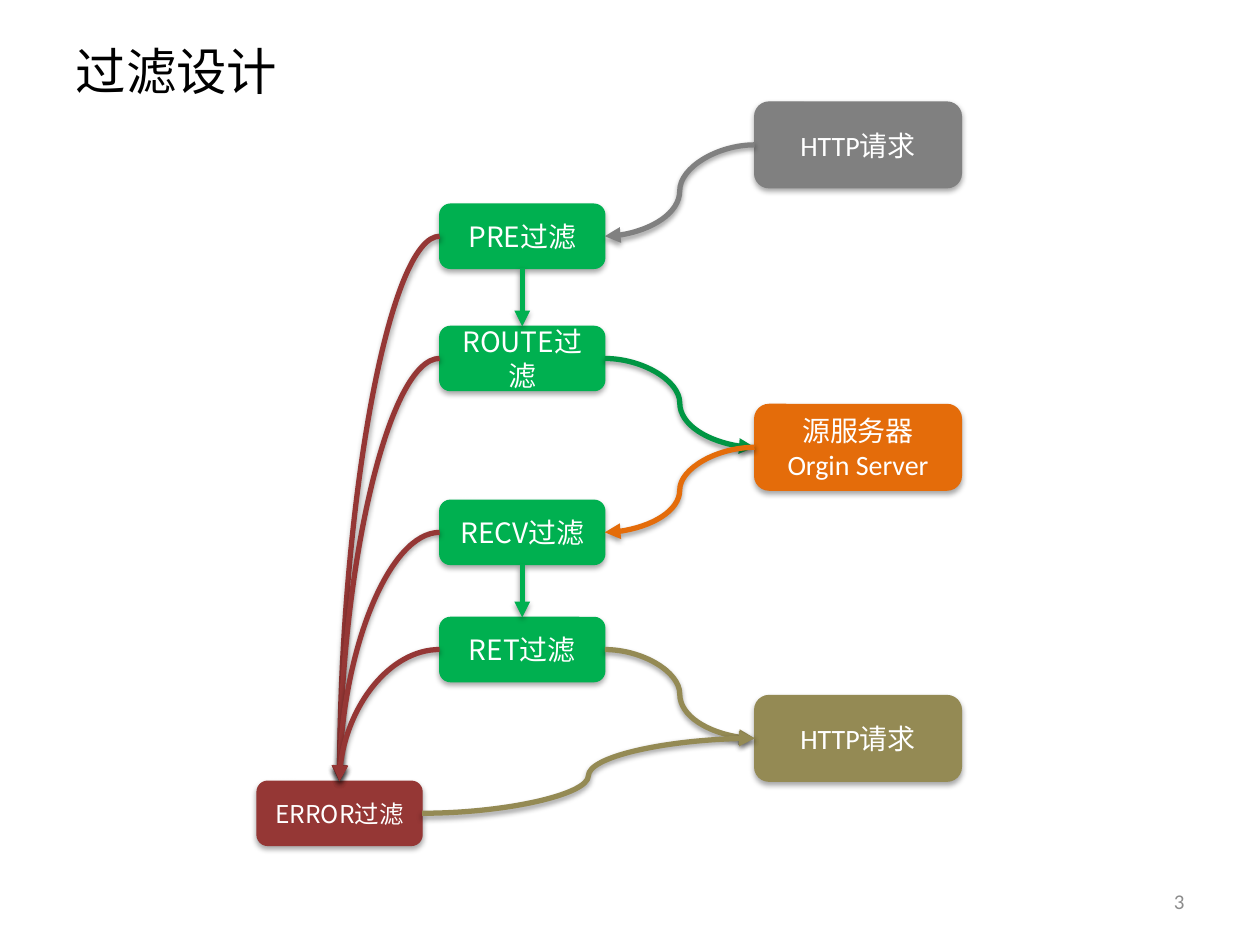
"""Build the filter design flow slide."""
from lxml.etree import SubElement
from pptx import Presentation
from pptx.dml.color import RGBColor
from pptx.enum.shapes import MSO_CONNECTOR, MSO_SHAPE
from pptx.enum.text import MSO_ANCHOR, PP_ALIGN
from pptx.oxml import parse_xml
from pptx.oxml.ns import nsdecls, qn
from pptx.util import Inches, Pt

BLACK = RGBColor(0x00, 0x00, 0x00)
WHITE = RGBColor(0xFF, 0xFF, 0xFF)
PALE_GRAY = RGBColor(0x8C, 0x8C, 0x8C)
GRAY = RGBColor(0x80, 0x80, 0x80)
GREEN = RGBColor(0x00, 0xB0, 0x50)
DARK_GREEN = RGBColor(0x00, 0x96, 0x43)
ORANGE = RGBColor(0xE4, 0x6C, 0x0A)
OLIVE = RGBColor(0x94, 0x8A, 0x54)
RED = RGBColor(0x95, 0x37, 0x35)
CJK, LATIN = "Noto Sans CJK SC", "Calibri"

TITLE = "过滤设计"
PAGE = "3"
FILTER_SIZE, ENDPOINT_SIZE = (1.31, 0.51), (1.64, 0.68)
FILTER_LEFT, ERROR_LEFT, ENDPOINT_LEFT = 3.49, 2.04, 5.99

NODES = {
    "pre": ("PRE过滤", FILTER_LEFT, 1.62, FILTER_SIZE, GREEN, CJK, 16),
    "route": ("ROUTE过滤", FILTER_LEFT, 2.59, FILTER_SIZE, GREEN, CJK, 16),
    "recv": ("RECV过滤", FILTER_LEFT, 3.97, FILTER_SIZE, GREEN, CJK, 16),
    "ret": ("RET过滤", FILTER_LEFT, 4.9, FILTER_SIZE, GREEN, CJK, 16),
    "error": ("ERROR过滤", ERROR_LEFT, 6.2, FILTER_SIZE, RED, CJK, 14),
    "origin": ("源服务器\nOrgin Server", ENDPOINT_LEFT, 3.21, ENDPOINT_SIZE, ORANGE, LATIN, 16),
    "request": ("HTTP请求", ENDPOINT_LEFT, 0.81, ENDPOINT_SIZE, GRAY, LATIN, 16),
    "response": ("HTTP请求", ENDPOINT_LEFT, 5.52, ENDPOINT_SIZE, OLIVE, LATIN, 16),
}

TOP, LEFT, BOTTOM, RIGHT = range(4)
FLOWS = [
    ("pre", BOTTOM, "route", TOP, GREEN),
    ("recv", BOTTOM, "ret", TOP, GREEN),
    ("request", LEFT, "pre", RIGHT, GRAY),
    ("route", RIGHT, "origin", LEFT, DARK_GREEN),
    ("origin", LEFT, "recv", RIGHT, ORANGE),
    ("ret", RIGHT, "response", LEFT, OLIVE),
    *((name, LEFT, "error", TOP, RED) for name in ("pre", "route", "recv", "ret")),
    ("error", RIGHT, "response", LEFT, OLIVE),
]


def write(frame, text, font, size, color, align):
    frame.text = text
    for name, value in {"word_wrap": True, "vertical_anchor": MSO_ANCHOR.MIDDLE}.items():
        setattr(frame, name, value)
    for paragraph in frame.paragraphs:
        paragraph.alignment = align
        for run in paragraph.runs:
            for name, value in {"name": font, "size": Pt(size)}.items():
                setattr(run.font, name, value)
            run.font.color.rgb = color
            SubElement(run.font._element, qn("a:ea"), typeface=CJK)


def add_shadow(part, distance, alpha):
    properties = part._element.spPr
    for old in properties.findall(qn("a:effectLst")):
        properties.remove(old)
    properties.append(parse_xml(
        f'<a:effectLst {nsdecls("a")}><a:outerShdw blurRad="40000" dist="{distance}" '
        f'dir="5400000" rotWithShape="0"><a:srgbClr val="000000"><a:alpha val="{alpha}"/>'
        '</a:srgbClr></a:outerShdw></a:effectLst>'))


def add_node(slide, text, left, top, size, color, font, points):
    node = slide.shapes.add_shape(
        MSO_SHAPE.ROUNDED_RECTANGLE, *map(Inches, (left, top, *size)))
    node.fill.solid()
    node.fill.fore_color.rgb = color
    node.line.color.rgb = color
    node.line.width = Pt(0.75)
    add_shadow(node, 23000, 35000)
    write(node.text_frame, text, font, points, WHITE, PP_ALIGN.CENTER)
    return node


def add_flow(slide, source, source_side, target, target_side, color):
    straight = source_side == BOTTOM
    kind = MSO_CONNECTOR.STRAIGHT if straight else MSO_CONNECTOR.CURVE
    flow = slide.shapes.add_connector(kind, 0, 0, 0, 0)
    flow.begin_connect(source, source_side)
    flow.end_connect(target, target_side)
    if not straight and target_side == TOP:
        flow._element.spPr.find(qn("a:prstGeom")).set("prst", "curvedConnector2")
    flow.line.color.rgb = color
    flow.line.width = Pt(3)
    SubElement(flow.line._get_or_add_ln(), qn("a:tailEnd"), type="triangle")
    add_shadow(flow, 20000, 38000)


presentation = Presentation()
presentation.slide_width, presentation.slide_height = Inches(10), Inches(7.5)
slide = presentation.slides.add_slide(presentation.slide_layouts[5])

title = slide.shapes.title
for name, value in {"left": 0.5, "top": 0.3, "width": 9, "height": 0.51}.items():
    setattr(title, name, Inches(value))
write(title.text_frame, TITLE, CJK, 28.8, BLACK, PP_ALIGN.LEFT)

page = slide.shapes.add_textbox(*map(Inches, (7.17, 6.95, 2.33, 0.4)))
write(page.text_frame, PAGE, LATIN, 12, PALE_GRAY, PP_ALIGN.RIGHT)

nodes = {name: add_node(slide, *node) for name, node in NODES.items()}
for source, source_side, target, target_side, color in FLOWS:
    add_flow(slide, nodes[source], source_side, nodes[target], target_side, color)

presentation.save("out.pptx")
